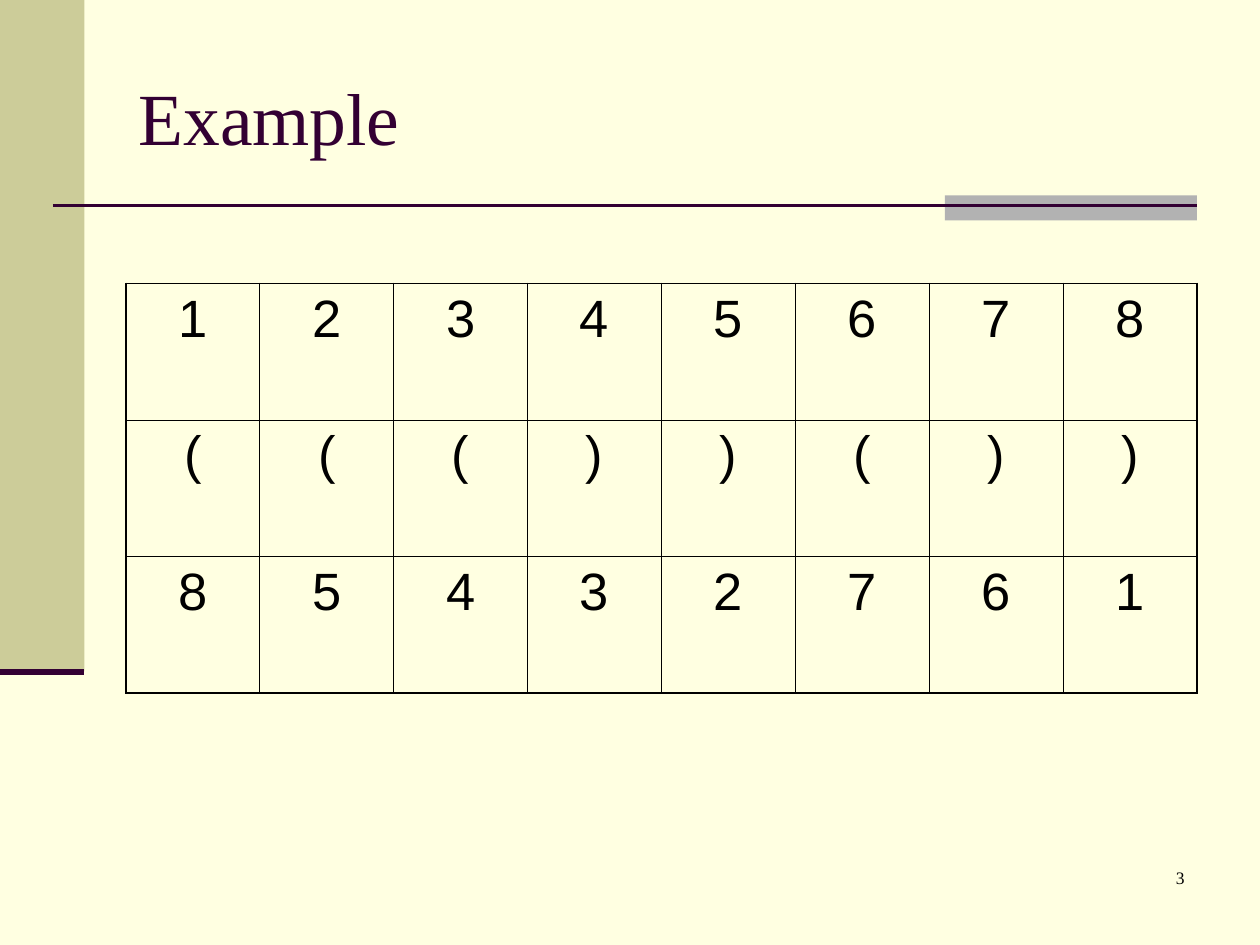
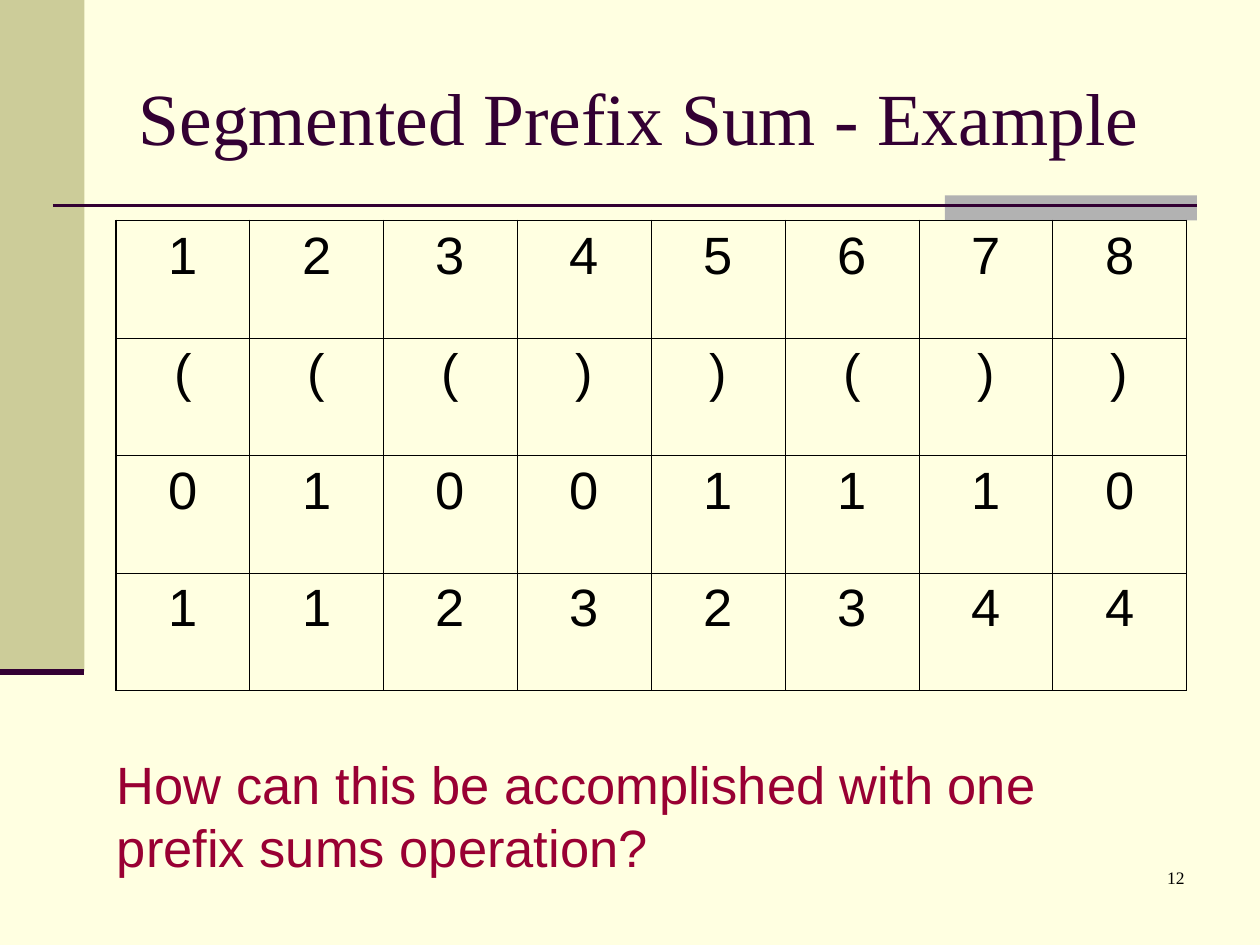
from lxml import etree
from pptx import Presentation
from pptx import util as u
from pptx.dml.color import RGBColor
from pptx.enum import shapes, text
from pptx.oxml.ns import qn

COLOURS = {
    "paper": "FFFFE1",
    "band": "CCCC99",
    "tab": "B2B2B2",
    "accent": "330033",
    "question": "990033",
    "ink": "000000",
}
SERIF, SANS = "Times New Roman", "Arial"
OUTER_BORDER, INNER_BORDER = 1.08, 0.45
POSITIONS = "12345678"
BRACKETS = "((())())"


def colour(name):
    return RGBColor.from_string(COLOURS[name])


class SlideBuilder:
    """Holds the deck style and adds elements to the current slide."""

    def __init__(self):
        self.deck = Presentation()
        self.deck.slide_width = u.Inches(10)
        self.deck.slide_height = u.Inches(7.5)
        background = self.deck.slide_master.background.fill
        background.solid()
        background.fore_color.rgb = colour("paper")
        self.page = None

    def start(self, title, number):
        self.page = self.deck.slides.add_slide(self.deck.slide_layouts[5])
        self.bar(0, 0, 0.67, 5.33, "band")
        self.bar(7.5, 1.55, 2, 0.2, "tab")
        self.rule(0.42, 9.5, 1.63, 1.5)
        self.rule(0, 0.67, 5.33, 3.5)
        self.title(title)
        self.label(7.42, 6.83, 2.08, 0.5, str(number), 10, SERIF, "ink",
                   align=text.PP_ALIGN.RIGHT)

    def format(self, para, size, font, ink, align=text.PP_ALIGN.LEFT, before=0):
        para.alignment = align
        para.space_before = u.Pt(before)
        for span in para.runs:
            span.font.size = u.Pt(size)
            span.font.name = font
            span.font.color.rgb = colour(ink)

    def title(self, words):
        box = self.page.shapes.title
        box.left, box.top = u.Inches(1), u.Inches(0.3)
        box.width, box.height = u.Inches(8.5), u.Inches(1.25)
        frame = box.text_frame
        frame.text = words
        frame.auto_size = text.MSO_AUTO_SIZE.NONE
        frame.vertical_anchor = text.MSO_ANCHOR.MIDDLE
        self.format(frame.paragraphs[0], 42, SERIF, "accent")

    def bar(self, left, top, width, height, fill):
        box = self.page.shapes.add_shape(
            shapes.MSO_SHAPE.RECTANGLE, u.Inches(left), u.Inches(top),
            u.Inches(width), u.Inches(height))
        box.shadow.inherit = False
        box.fill.solid()
        box.fill.fore_color.rgb = colour(fill)
        box.line.fill.background()

    def rule(self, start, end, top, weight):
        line = self.page.shapes.add_connector(
            shapes.MSO_CONNECTOR.STRAIGHT, u.Inches(start), u.Inches(top),
            u.Inches(end), u.Inches(top))
        line.line.color.rgb = colour("accent")
        line.line.width = u.Pt(weight)
        etree.SubElement(line._element.spPr, qn("a:effectLst"))

    def label(self, left, top, width, height, words, size, font, ink, **style):
        box = self.page.shapes.add_textbox(
            u.Inches(left), u.Inches(top), u.Inches(width), u.Inches(height))
        frame = box.text_frame
        frame.word_wrap = True
        frame.text = words
        self.format(frame.paragraphs[0], size, font, ink, **style)

    def border(self, cell, side, weight):
        properties = cell._tc.get_or_add_tcPr()
        line = etree.SubElement(properties, qn(f"a:ln{side}"), w=str(u.Pt(weight)))
        fill = etree.SubElement(line, qn("a:solidFill"))
        etree.SubElement(fill, qn("a:srgbClr"), val=COLOURS["ink"])

    def grid(self, left, top, width, height, rows):
        row_count, column_count = len(rows), len(rows[0])
        table = self.page.shapes.add_table(
            row_count, column_count, u.Inches(left), u.Inches(top),
            u.Inches(width), u.Inches(height)).table
        table.first_row = False
        table.horz_banding = False
        for r, row in enumerate(rows):
            for c, symbol in enumerate(row):
                cell = table.cell(r, c)
                cell.text_frame.text = symbol
                self.format(cell.text_frame.paragraphs[0], 30, SANS, "ink",
                            align=text.PP_ALIGN.CENTER, before=7.5)
                outer = {"L": c == 0, "R": c == column_count - 1,
                         "T": r == 0, "B": r == row_count - 1}
                for side, is_outer in outer.items():
                    self.border(cell, side, OUTER_BORDER if is_outer else INNER_BORDER)
                cell.fill.background()


def main():
    builder = SlideBuilder()

    builder.start("Example", 3)
    builder.grid(1, 2.25, 8.5, 3.25, [POSITIONS, BRACKETS, "85432761"])

    builder.start("Segmented Prefix Sum - Example", 12)
    builder.grid(0.92, 1.75, 8.5, 3.73,
                 [POSITIONS, BRACKETS, "01001110", "11232344"])
    builder.label(0.83, 5.92, 8.5, 1.1,
                  "How can this be accomplished with one prefix sums operation?",
                  30, SANS, "question", before=18.7)

    builder.deck.save("out.pptx")


if __name__ == "__main__":
    main()
